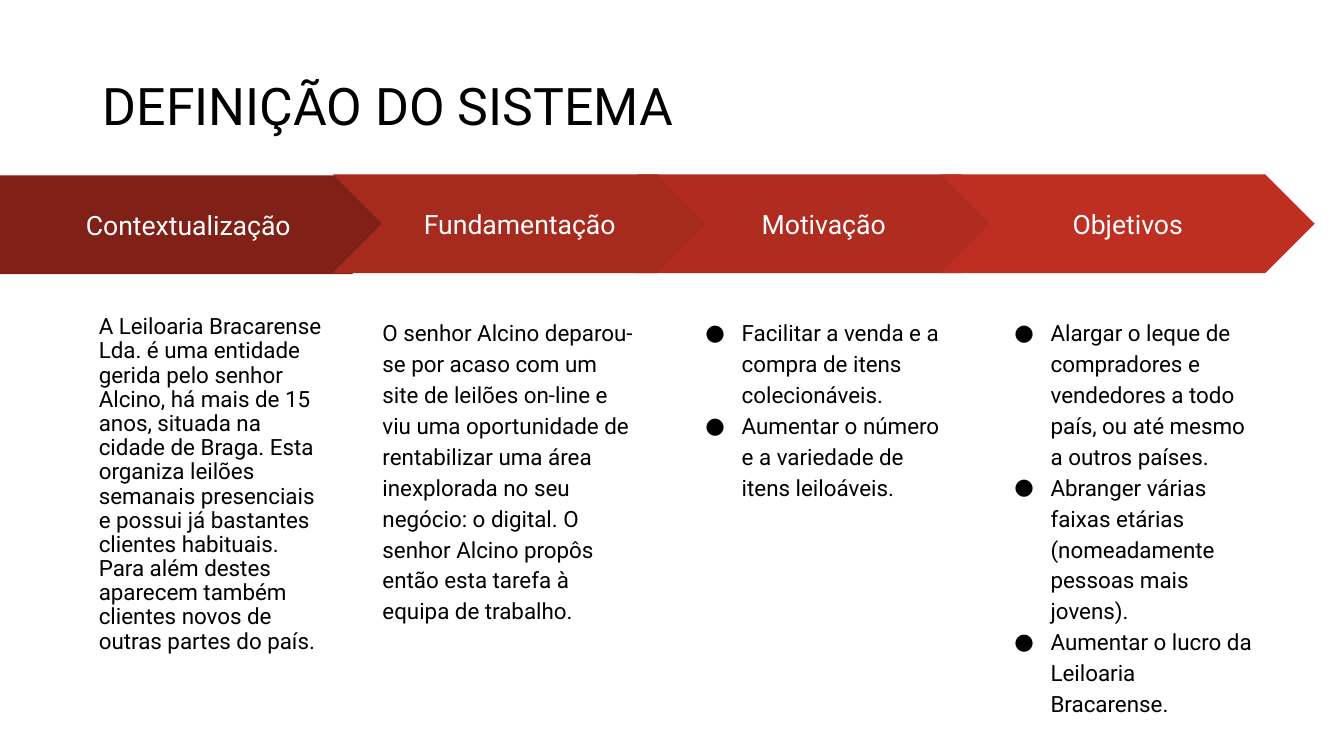
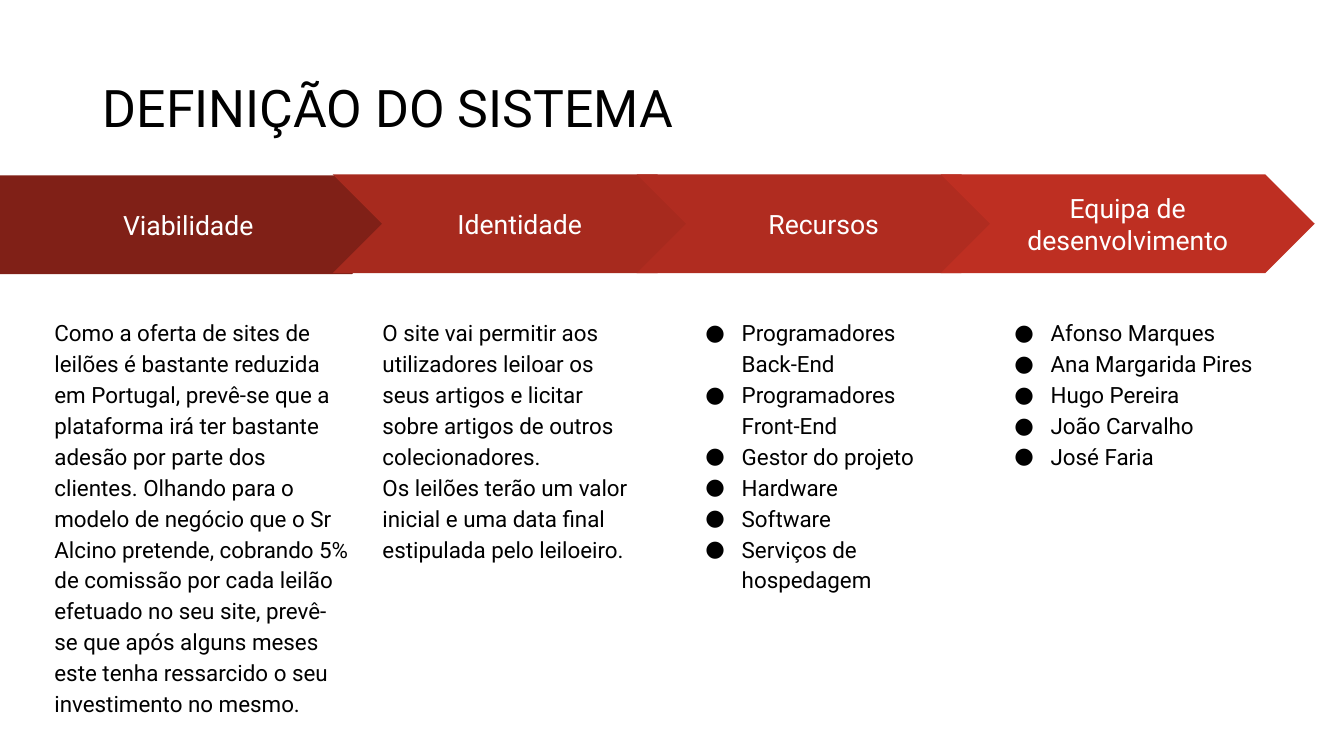
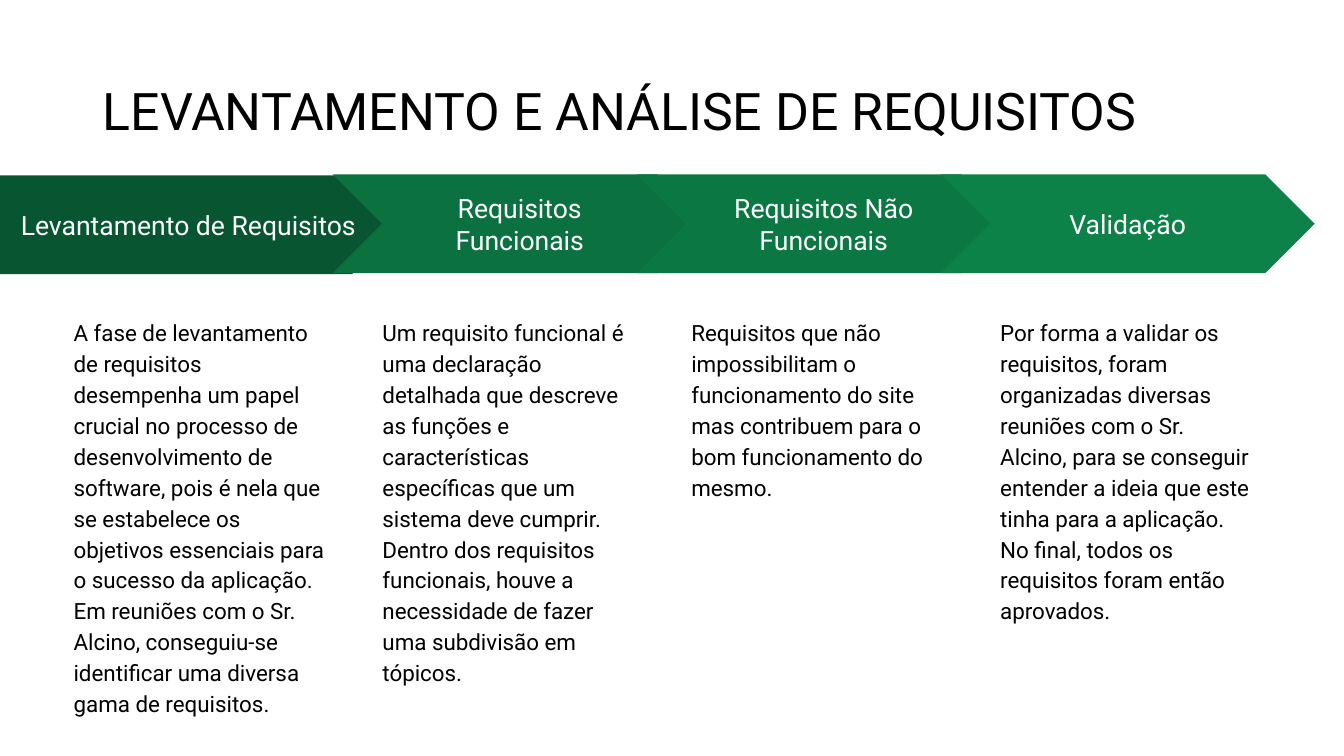
"""Build three process slides, each with a title, an arrow band and four columns."""
from dataclasses import dataclass
from typing import Any

from lxml import etree
from pptx import Presentation
from pptx.dml.color import RGBColor
from pptx.enum.shapes import MSO_SHAPE
from pptx.enum.text import MSO_ANCHOR, MSO_AUTO_SIZE, PP_ALIGN
from pptx.oxml.ns import qn
from pptx.util import Inches, Pt

PLATE, CHEVRON = MSO_SHAPE.PENTAGON, MSO_SHAPE.CHEVRON
LEFT, CENTER = PP_ALIGN.LEFT, PP_ALIGN.CENTER
TOP, MIDDLE = MSO_ANCHOR.TOP, MSO_ANCHOR.MIDDLE
FIXED = MSO_AUTO_SIZE.NONE


@dataclass(frozen=True)
class Theme:
    """Colours, font and type sizes of the deck."""
    font: str = "Roboto"
    ink: str = "000000"
    paper: str = "FFFFFF"
    reds: tuple[str, ...] = ("802017", "A72A1E", "B02C20", "BE2F22")
    greens: tuple[str, ...] = ("085631", "0B7140", "0B7743", "0C8148")
    title: int = 37
    head: int = 19
    body: int = 16


@dataclass(frozen=True)
class Step:
    """One arrow heading and the column below it."""
    head: str
    body: tuple[str, ...]
    list: bool = False
    left: float | None = None
    width: float = 2.78
    indent: float = 0
    lead: float = 1.15


@dataclass(frozen=True)
class Page:
    """One slide: title, its top, arrow colours and steps."""
    title: str
    top: float
    fills: tuple[str, ...]
    steps: tuple[Step, ...]
    order: tuple[int, ...] = (0, 1, 2, 3)


THEME = Theme()
COL_X, COL_GAP = 0.6, (9.79 - 0.6) / 3
ARROW_X, ARROW_GAP = 3.3, (9.33 - 3.3) / 2

PAGES = (
    Page("DEFINIÇÃO DO SISTEMA", 0.35, THEME.reds, (
        Step("Contextualização", (
            "A Leiloaria Bracarense Lda. é uma entidade gerida pelo senhor Alcino, há mais de "
            "15 anos, situada na cidade de Braga. Esta organiza leilões semanais presenciais e "
            "possui já bastantes clientes habituais. Para além destes aparecem também clientes "
            "novos de outras partes do país.",), indent=0.25, lead=0.9),
        Step("Fundamentação", (
            "O senhor Alcino deparou-se por acaso com um site de leilões on-line e viu uma "
            "oportunidade de rentabilizar uma área inexplorada no seu negócio: o digital. "
            "O senhor Alcino propôs então esta tarefa à equipa de trabalho.",)),
        Step("Motivação", (
            "Facilitar a venda e a compra de itens colecionáveis.",
            "Aumentar o número e a variedade de itens leiloáveis."), list=True),
        Step("Objetivos", (
            "Alargar o leque de compradores e vendedores a todo país, ou até mesmo a outros "
            "países.",
            "Abranger várias faixas etárias (nomeadamente pessoas mais jovens).",
            "Aumentar o lucro da Leiloaria Bracarense."), list=True),
    ), order=(0, 2, 3, 1)),
    Page("DEFINIÇÃO DO SISTEMA", 0.37, THEME.reds, (
        Step("Viabilidade", (
            "Como a oferta de sites de leilões é bastante reduzida em Portugal, prevê-se que a "
            "plataforma irá ter bastante adesão por parte dos clientes. Olhando para o modelo "
            "de negócio que o Sr Alcino pretende, cobrando 5% de comissão por cada leilão "
            "efetuado no seu site, prevê-se que após alguns meses este tenha ressarcido o seu "
            "investimento no mesmo.",), left=0.41, width=3.19),
        Step("Identidade", (
            "O site vai permitir aos utilizadores leiloar os seus artigos e licitar sobre "
            "artigos de outros colecionadores.",
            "Os leilões terão um valor inicial e uma data final estipulada pelo leiloeiro.")),
        Step("Recursos", (
            "Programadores Back-End", "Programadores Front-End", "Gestor do projeto",
            "Hardware", "Software", "Serviços de hospedagem"), list=True),
        Step("Equipa de desenvolvimento", (
            "Afonso Marques", "Ana Margarida Pires", "Hugo Pereira", "João Carvalho",
            "José Faria"), list=True),
    )),
    Page("LEVANTAMENTO E ANÁLISE DE REQUISITOS", 0.4, THEME.greens, (
        Step("Levantamento de Requisitos", (
            "A fase de levantamento de requisitos desempenha um papel crucial no processo de "
            "desenvolvimento de software, pois é nela que se estabelece os objetivos "
            "essenciais para o sucesso da aplicação.",
            "Em reuniões com o Sr. Alcino, conseguiu-se identificar uma diversa gama de "
            "requisitos.")),
        Step("Requisitos Funcionais", (
            "Um requisito funcional é uma declaração detalhada que descreve as funções e "
            "características específicas que um sistema deve cumprir.",
            "Dentro dos requisitos funcionais, houve a necessidade de fazer uma subdivisão em "
            "tópicos.")),
        Step("Requisitos Não Funcionais", (
            "Requisitos que não impossibilitam o funcionamento do site mas contribuem para o "
            "bom funcionamento do mesmo.",)),
        Step("Validação", (
            "Por forma a validar os requisitos, foram organizadas diversas reuniões com o Sr. "
            "Alcino, para se conseguir entender a ideia que este tinha para a aplicação. No "
            "final, todos os requisitos foram então aprovados.",)),
    )),
)


def place(shape: Any, left: float, top: float, width: float, height: float) -> None:
    """Move and size a shape, in inches."""
    shape.left, shape.top = Inches(left), Inches(top)
    shape.width, shape.height = Inches(width), Inches(height)


def mark(para: Any, dot: bool, indent: float) -> None:
    """Set the bullet and indents of a paragraph."""
    props = para._p.get_or_add_pPr()
    props.set("marL", str(Inches(0.5 if dot else indent)))
    props.set("indent", str(Inches(-0.36 if dot else 0)))
    if dot:
        tint = etree.SubElement(props, qn("a:buClr"))
        etree.SubElement(tint, qn("a:srgbClr"), val=THEME.ink)
        etree.SubElement(props, qn("a:buFont"), typeface=THEME.font)
        etree.SubElement(props, qn("a:buChar"), char="●")
    else:
        etree.SubElement(props, qn("a:buNone"))


def write(shape: Any, lines: tuple[str, ...], *, size: int, color: str = THEME.ink,
          align: Any = LEFT, anchor: Any = TOP, lead: float = 1, pad: tuple[float, float] = (0.13, 0.13),
          dot: bool = False, indent: float = 0) -> None:
    """Fill a shape with formatted paragraphs."""
    frame = shape.text_frame
    frame.word_wrap, frame.auto_size = True, FIXED
    frame.vertical_anchor = anchor
    frame.margin_left = frame.margin_right = Inches(pad[0])
    frame.margin_top = frame.margin_bottom = Inches(pad[1])
    for i, line in enumerate(lines):
        para = frame.add_paragraph() if i else frame.paragraphs[0]
        mark(para, dot, indent)
        para.alignment, para.line_spacing = align, lead
        para.space_before = para.space_after = Pt(0)
        run = para.add_run()
        run.text = line
        font = run.font
        font.name, font.size, font.bold = THEME.font, Pt(size), False
        font.color.rgb = RGBColor.from_string(color)


def arrow(slide: Any, i: int, text: str, fill: str) -> None:
    """Draw the arrow of step i with its heading."""
    kind = CHEVRON if i else PLATE
    shape = slide.shapes.add_shape(kind, 0, 0, 0, 0)
    if i:
        place(shape, ARROW_X + (i - 1) * ARROW_GAP, 1.73, 3.71, 0.98)
    else:
        place(shape, 0, 1.74, 3.98, 0.98)
    shape.shadow.inherit = False
    shape.fill.solid()
    shape.fill.fore_color.rgb = RGBColor.from_string(fill)
    shape.line.fill.background()
    write(shape, (text,), size=THEME.head, color=THEME.paper, align=CENTER, anchor=MIDDLE)


def column(shape: Any, i: int, step: Step) -> None:
    """Fill the body placeholder of step i."""
    left = COL_X + i * COL_GAP if step.left is None else step.left
    place(shape, left, 3, step.width, 3.81)
    write(shape, step.body, size=THEME.body, lead=step.lead, dot=step.list, indent=step.indent)


def build(deck: Any, page: Page) -> None:
    """Add one slide for a page."""
    slide = deck.slides.add_slide(deck.slide_layouts.get_by_name("Comparison"))
    title, *cols = slide.placeholders
    place(title, 0.92, page.top, 11.5, 1.45)
    write(title, (page.title,), size=THEME.title, anchor=MIDDLE, lead=0.9, pad=(0.1, 0.05))
    for i in page.order:
        step = page.steps[i]
        arrow(slide, i, step.head, page.fills[i])
        column(cols[i], i, step)


def main() -> None:
    """Build and save the deck."""
    deck = Presentation()
    deck.slide_width, deck.slide_height = Inches(13.33), Inches(7.5)
    for page in PAGES:
        build(deck, page)
    deck.save("out.pptx")


if __name__ == "__main__":
    main()
